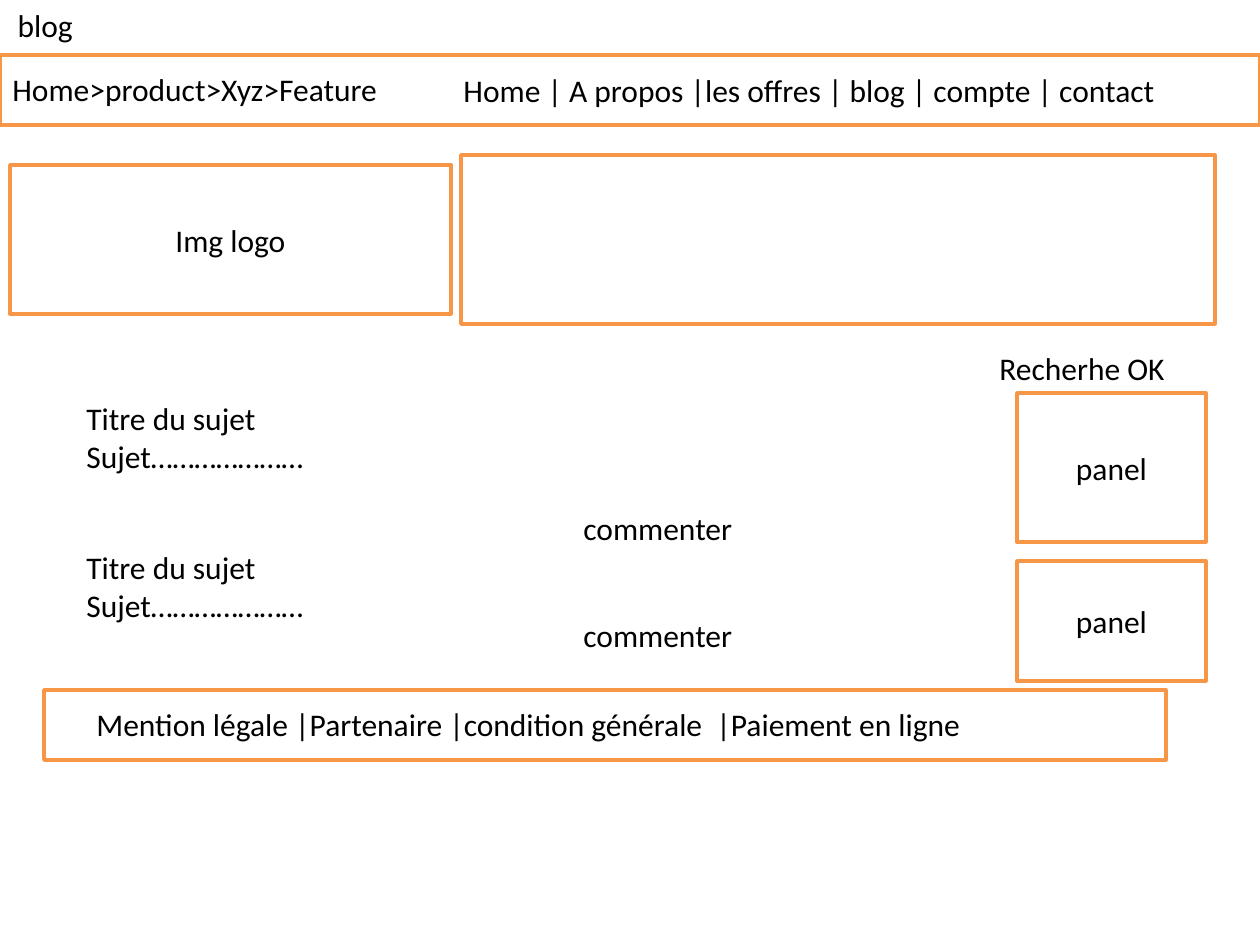
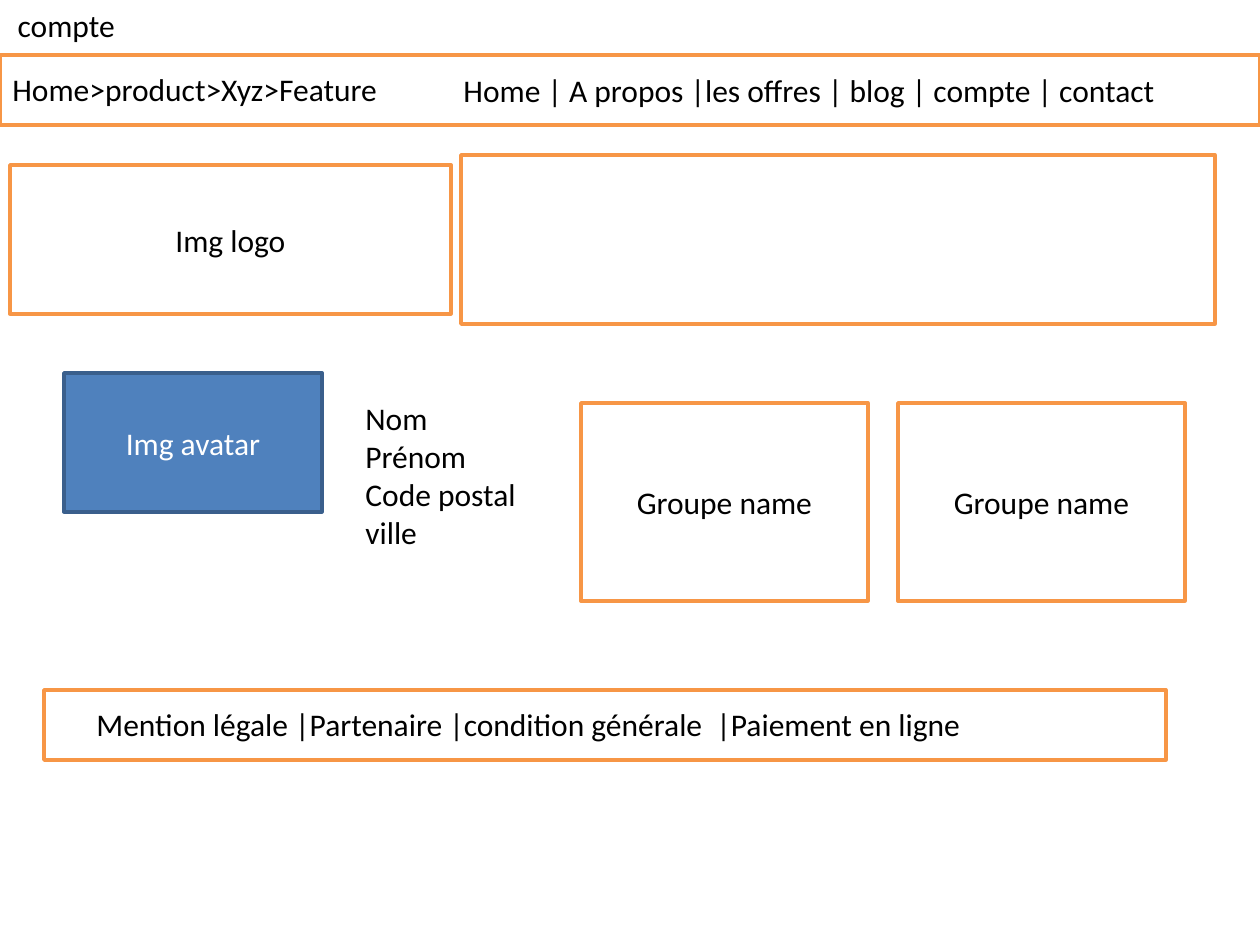
from pptx import Presentation
from pptx.dml.color import RGBColor
from pptx.enum.shapes import MSO_SHAPE
from pptx.enum.text import MSO_ANCHOR, MSO_AUTO_SIZE, PP_ALIGN
from pptx.util import Emu, Pt

BLACK = RGBColor(0x00, 0x00, 0x00)
WHITE = RGBColor(0xFF, 0xFF, 0xFF)
ORANGE = RGBColor(0xF7, 0x96, 0x46)
BLUE = RGBColor(0x4F, 0x81, 0xBD)
NAVY = RGBColor(0x3A, 0x5F, 0x8C)
FONT, SIZE = "Calibri", Pt(18)
SCALE = 914400 / 126

TITLE_BOX = (5, 0, 159, 50)
FRAME_BOXES = [
    ("", (0, 55, 1260, 70)),
    ("", (461, 155, 754, 169)),
    ("Img logo", (10, 165, 441, 149)),
    ("", (44, 690, 1122, 70)),
]
FRAME_TEXTS = [
    ("Home>product>Xyz>Feature", (0, 64, 412, 50)),
    ("Home | A propos |les offres | blog | compte | contact", (451, 65, 764, 50)),
    ("Mention légale |Partenaire |condition générale  |Paiement en ligne",
     (84, 699, 963, 50)),
]

TOPIC = "Titre du sujet\nSujet" + "…" * 7
TOPIC_TOPS = (393, 542)
COMMENT_TOPS = (503, 610)
PANELS = [(393, 149), (561, 120)]
SEARCH = ("Recherhe OK", (987, 343, 218, 50))

AVATAR = ("Img avatar", (64, 373, 258, 139))
PROFILE = ("Nom\nPrénom\nCode postal\nville", (353, 393, 208, 165))
GROUPS = ["Groupe name", "Groupe name"]
GROUP_LEFT, GROUP_TOP, GROUP_W, GROUP_H, GROUP_GAP = 581, 403, 287, 198, 30


def emu(box):
    return [Emu(round(v * SCALE)) for v in box]


def write(tf, text, color=BLACK, align=PP_ALIGN.LEFT, anchor=MSO_ANCHOR.TOP):
    tf.text = text
    tf.word_wrap = True
    tf.vertical_anchor = anchor
    for p in tf.paragraphs:
        p.alignment = align
        p.font.name, p.font.size = FONT, SIZE
        p.font.color.rgb = color


def add_text(s, text, box):
    tf = s.shapes.add_textbox(*emu(box)).text_frame
    write(tf, text)
    tf.auto_size = MSO_AUTO_SIZE.SHAPE_TO_FIT_TEXT


def add_box(s, text, box, fill=WHITE, line=ORANGE, color=BLACK):
    sp = s.shapes.add_shape(MSO_SHAPE.RECTANGLE, *emu(box))
    sp.shadow.inherit = False
    sp.fill.solid()
    sp.fill.fore_color.rgb = fill
    sp.line.color.rgb = line
    sp.line.width = Pt(2)
    if text:
        write(sp.text_frame, text, color, PP_ALIGN.CENTER, MSO_ANCHOR.MIDDLE)


def add_page(prs, name):
    s = prs.slides.add_slide(prs.slide_layouts[5])
    title = s.shapes.title
    title.left, title.top, title.width, title.height = emu(TITLE_BOX)
    write(title.text_frame, name)
    title.text_frame.auto_size = MSO_AUTO_SIZE.SHAPE_TO_FIT_TEXT
    for text, box in FRAME_BOXES:
        add_box(s, text, box)
    for text, box in FRAME_TEXTS:
        add_text(s, text, box)
    return s


prs = Presentation()
prs.slide_width, prs.slide_height = emu((1260, 945))

blog = add_page(prs, "blog")
for top, height in PANELS:
    add_box(blog, "panel", (1017, top, 189, height))
add_text(blog, *SEARCH)
for top in TOPIC_TOPS:
    add_text(blog, TOPIC, (74, top, 833, 89))
for top in COMMENT_TOPS:
    add_text(blog, "commenter", (571, top, 248, 50))

account = add_page(prs, "compte")
add_box(account, *AVATAR, fill=BLUE, line=NAVY, color=WHITE)
add_text(account, *PROFILE)
for i, name in enumerate(GROUPS):
    left = GROUP_LEFT + i * (GROUP_W + GROUP_GAP)
    add_box(account, name, (left, GROUP_TOP, GROUP_W, GROUP_H))

prs.save("out.pptx")
